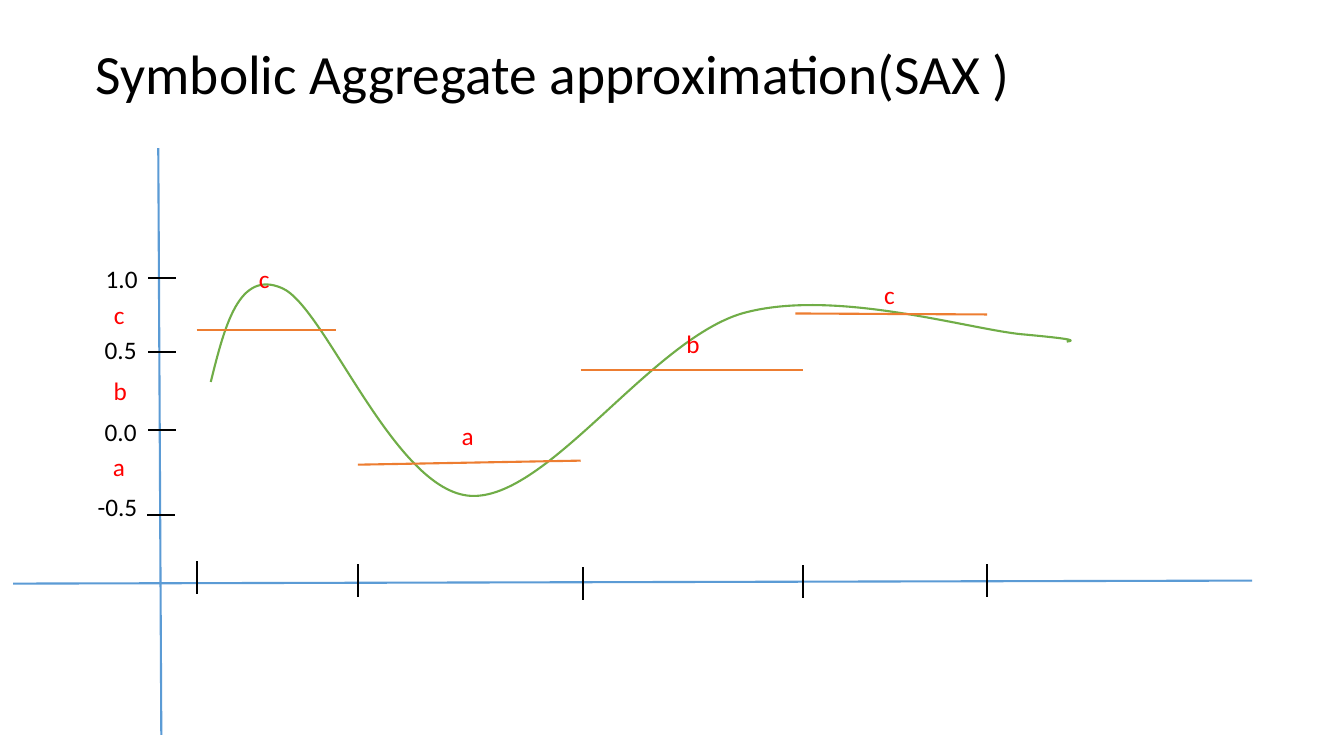
from dataclasses import dataclass

from lxml import etree
from pptx import Presentation
from pptx.dml.color import RGBColor
from pptx.enum.shapes import MSO_CONNECTOR
from pptx.enum.text import MSO_ANCHOR, MSO_AUTO_SIZE, PP_ALIGN
from pptx.oxml.ns import qn
from pptx.util import Inches, Pt

STRAIGHT = MSO_CONNECTOR.STRAIGHT
MIDDLE = MSO_ANCHOR.MIDDLE
FIT_SHAPE = MSO_AUTO_SIZE.SHAPE_TO_FIT_TEXT
LEFT = PP_ALIGN.LEFT


@dataclass(frozen=True)
class Theme:
    font: str = "Calibri"
    title_size: float = 39.6
    label_size: float = 18
    line_width: float = 1.5
    ink: RGBColor = RGBColor(0x00, 0x00, 0x00)
    symbol: RGBColor = RGBColor(0xFF, 0x00, 0x00)
    axis: RGBColor = RGBColor(0x5B, 0x9B, 0xD5)
    series: RGBColor = RGBColor(0x70, 0xAD, 0x47)
    segment: RGBColor = RGBColor(0xED, 0x7D, 0x31)


THEME = Theme()


def add_line(x1, y1, x2, y2, color):
    line = slide.shapes.add_connector(
        STRAIGHT, Inches(x1), Inches(y1), Inches(x2), Inches(y2))
    line.line.color.rgb = color
    line.line.width = Pt(THEME.line_width)
    etree.SubElement(line._element.spPr, qn("a:effectLst"))


def add_label(text, left, top, width, color):
    label = slide.shapes.add_textbox(
        Inches(left), Inches(top), Inches(width), Inches(0.4))
    frame = label.text_frame
    frame.text = text
    frame.word_wrap = False
    frame.auto_size = FIT_SHAPE
    font = frame.paragraphs[0].runs[0].font
    font.name = THEME.font
    font.size = Pt(THEME.label_size)
    font.color.rgb = color


presentation = Presentation()
presentation.slide_width = Inches(13.33)
presentation.slide_height = Inches(7.5)
slide = presentation.slides.add_slide(presentation.slide_layouts[5])

# Title
title = slide.shapes.title
title.left, title.top = Inches(0.85), Inches(0.35)
title.width, title.height = Inches(11.5), Inches(0.82)
title.text_frame.text = "Symbolic Aggregate approximation(SAX )"
title.text_frame.vertical_anchor = MIDDLE
heading = title.text_frame.paragraphs[0]
heading.alignment = LEFT
heading.line_spacing = 0.9
heading_font = heading.runs[0].font
heading_font.name = THEME.font
heading_font.size = Pt(THEME.title_size)
heading_font.color.rgb = THEME.ink

# Axes
add_line(1.57, 1.47, 1.6, 7.29, THEME.axis)
add_line(0.13, 5.79, 12.42, 5.76, THEME.axis)

# Value axis: tick position, then label text and box
for tick_left, tick_y, text, left, top, width in [
    (1.47, 2.76, "1.0", 0.95, 2.56, 0.52),
    (1.47, 3.49, "0.5", 0.94, 3.27, 0.52),
    (1.47, 4.27, "0.0", 0.94, 4.08, 0.52),
    (1.46, 5.11, "-0.5", 0.87, 4.83, 0.6),
]:
    add_line(tick_left, tick_y, tick_left + 0.28, tick_y, THEME.ink)
    add_label(text, left, top, width, THEME.ink)

# Time series: each curve is two handles and an end point
start = (2.09, 3.79)
curves = [
    [(2.23, 3.23), (2.37, 2.67), (2.8, 2.86)],
    [(3.23, 3.05), (3.91, 4.88), (4.67, 4.92)],
    [(5.43, 4.96), (6.45, 3.38), (7.36, 3.11)],
    [(8.28, 2.85), (9.64, 3.28), (10.17, 3.32)],
    [(10.71, 3.37), (10.64, 3.38), (10.58, 3.39)],
]
builder = slide.shapes.build_freeform(Inches(start[0]), Inches(start[1]))
builder.add_line_segments(
    [(Inches(x), Inches(y)) for *_, (x, y) in curves], close=False)
series = builder.convert_to_shape()
series.shadow.inherit = False
series.fill.background()
series.line.color.rgb = THEME.series
series.line.width = Pt(THEME.line_width)

# Turn the straight segments into Bézier curves
for segment, points in zip(series._element.xpath(".//a:lnTo"), curves):
    bezier = etree.Element(qn("a:cubicBezTo"))
    for x, y in points:
        etree.SubElement(bezier, qn("a:pt"),
                         x=str(Inches(x) - series.left),
                         y=str(Inches(y) - series.top))
    segment.getparent().replace(segment, bezier)

# Time axis ticks
for x, top in [(1.95, 5.57), (3.55, 5.6), (5.78, 5.63), (7.96, 5.61), (9.79, 5.6)]:
    add_line(x, top, x, top + 0.32, THEME.ink)

# Segment means
for ends in [
    (1.95, 3.27, 3.33, 3.27),
    (3.55, 4.61, 5.76, 4.57),
    (5.76, 3.67, 7.96, 3.67),
    (7.89, 3.11, 9.79, 3.12),
]:
    add_line(*ends, THEME.segment)

# Symbols beside the value axis and above the segments
symbol_widths = {"a": 0.32, "b": 0.34, "c": 0.31}
for symbol, left, top in [
    ("a", 1.02, 4.43), ("b", 1.03, 3.67), ("c", 1.03, 2.92),
    ("c", 2.47, 2.56), ("a", 4.48, 4.12), ("b", 6.71, 3.21), ("c", 8.67, 2.72),
]:
    add_label(symbol, left, top, symbol_widths[symbol], THEME.symbol)

presentation.save("out.pptx")
